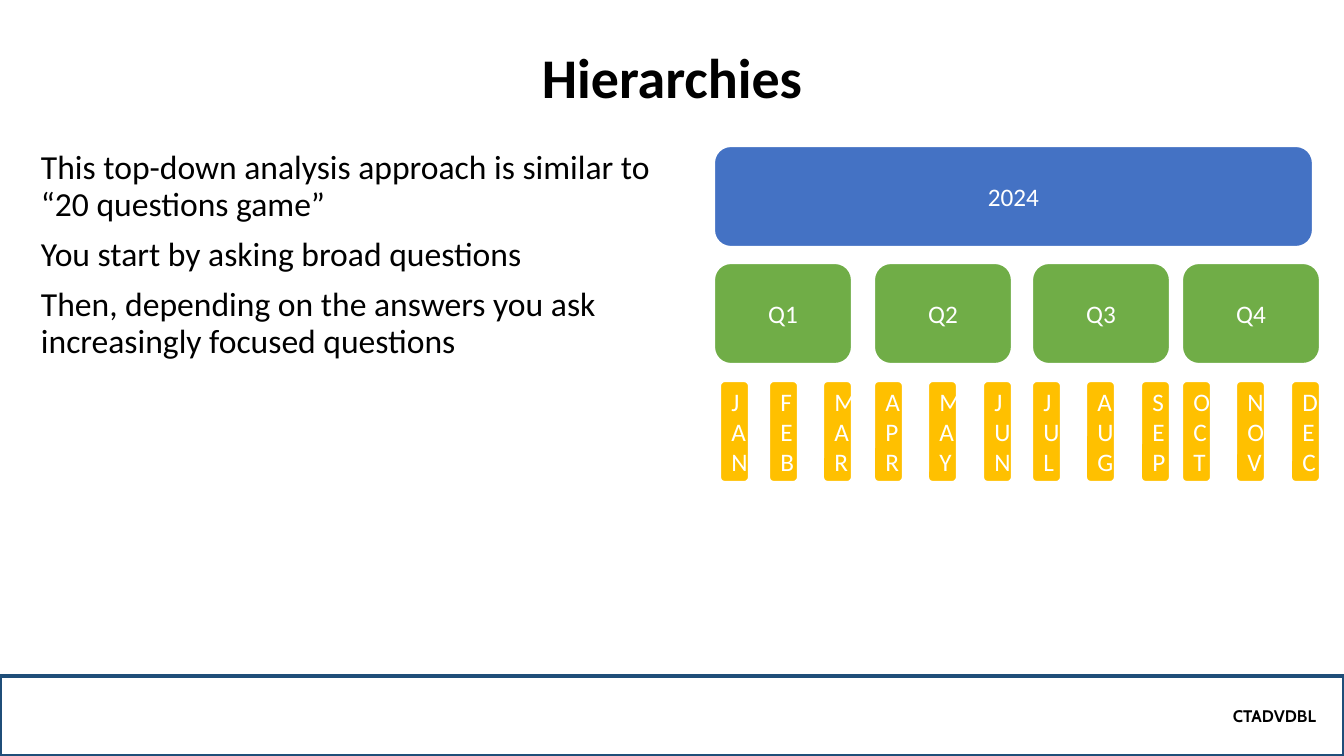
from pptx import Presentation
from pptx.dml.color import RGBColor
from pptx.enum.shapes import MSO_SHAPE
from pptx.enum.text import MSO_ANCHOR, MSO_AUTO_SIZE, PP_ALIGN
from pptx.util import Pt

EMU_PER_PX = 914400 / 100.8
BLACK, WHITE = "000000", "FFFFFF"
BLUE, GREEN, YELLOW, NAVY = "4472C4", "70AD47", "FFC000", "1F4E79"

QUARTERS = [
    ("Q1", 714, (6, 55, 109), ("JAN", "FEB", "MAR")),
    ("Q2", 874, (0, 54, 109), ("APR", "MAY", "JUN")),
    ("Q3", 1032, (0, 54, 109), ("JUL", "AUG", "SEP")),
    ("Q4", 1182, (0, 54, 109), ("OCT", "NOV", "DEC")),
]
STATEMENTS = [
    "This top-down analysis approach is similar to “20 questions game”",
    "You start by asking broad questions",
    "Then, depending on the answers you ask increasingly focused questions",
]


def px(length):
    return round(length * EMU_PER_PX)


def colour(value):
    return RGBColor.from_string(value)


def set_all(target, values):
    for name, value in values.items():
        setattr(target, name, value)


def place(shape, box):
    set_all(shape, dict(zip(("left", "top", "width", "height"), map(px, box))))


def write(shape, lines, size, ink, font="Calibri", bold=False, anchor=MSO_ANCHOR.TOP, **layout):
    frame = shape.text_frame
    set_all(frame, {"word_wrap": True, "auto_size": MSO_AUTO_SIZE.NONE, "vertical_anchor": anchor})
    for index, line in enumerate(lines):
        para = frame.add_paragraph() if index else frame.paragraphs[0]
        set_all(para, layout)
        if index == 0:
            para.space_before = Pt(0)
        span = para.add_run()
        span.text = line
        set_all(span.font, {"name": font, "size": Pt(size), "bold": bold})
        span.font.color.rgb = colour(ink)


def add_block(page, kind, box, outline, weight, fill=None):
    shape = page.shapes.add_shape(kind, *map(px, box))
    shape.shadow.inherit = False
    if fill:
        shape.fill.solid()
        shape.fill.fore_color.rgb = colour(fill)
    else:
        shape.fill.background()
    shape.line.color.rgb = colour(outline)
    shape.line.width = Pt(weight)
    return shape


def add_level(page, box, label, fill):
    shape = add_block(page, MSO_SHAPE.ROUNDED_RECTANGLE, box, WHITE, 1.5, fill)
    write(shape, [label], 18, WHITE, anchor=MSO_ANCHOR.MIDDLE, alignment=PP_ALIGN.CENTER)


def add_footer(page, box):
    shape = add_block(page, MSO_SHAPE.RECTANGLE, box, NAVY, 2.25)
    shape.text_frame.margin_right = px(28)
    write(shape, ["CTADVDBL"], 12, BLACK, font="Cabin", bold=True,
          anchor=MSO_ANCHOR.MIDDLE, alignment=PP_ALIGN.RIGHT)


def add_title(page, box):
    title = page.shapes.title
    place(title, box)
    write(title, ["Hierarchies"], 40, BLACK, bold=True, anchor=MSO_ANCHOR.BOTTOM,
          alignment=PP_ALIGN.CENTER, line_spacing=0.9)


def add_statements(page, box):
    shape = page.shapes.add_textbox(*map(px, box))
    write(shape, STATEMENTS, 24, BLACK, alignment=PP_ALIGN.LEFT,
          line_spacing=0.9, space_before=Pt(10))


def add_hierarchy(page, box):
    left, top, width, height = box
    add_level(page, (left, top, width, height), "2024", BLUE)
    for quarter, start, offsets, months in QUARTERS:
        add_level(page, (start, top + 117, 138, height), quarter, GREEN)
        for offset, month in zip(offsets, months):
            add_level(page, (start + offset, top + 235, 29, height), month, YELLOW)


def main():
    deck = Presentation()
    set_all(deck, {"slide_width": px(1344), "slide_height": px(756)})
    page = deck.slides.add_slide(deck.slide_layouts.get_by_name("Title Only"))
    add_footer(page, (0, 676, 1344, 80))
    add_statements(page, (31, 146, 640, 492))
    add_title(page, (168, 21, 1008, 95))
    add_hierarchy(page, (714, 146, 599, 101))
    deck.save("out.pptx")


if __name__ == "__main__":
    main()
